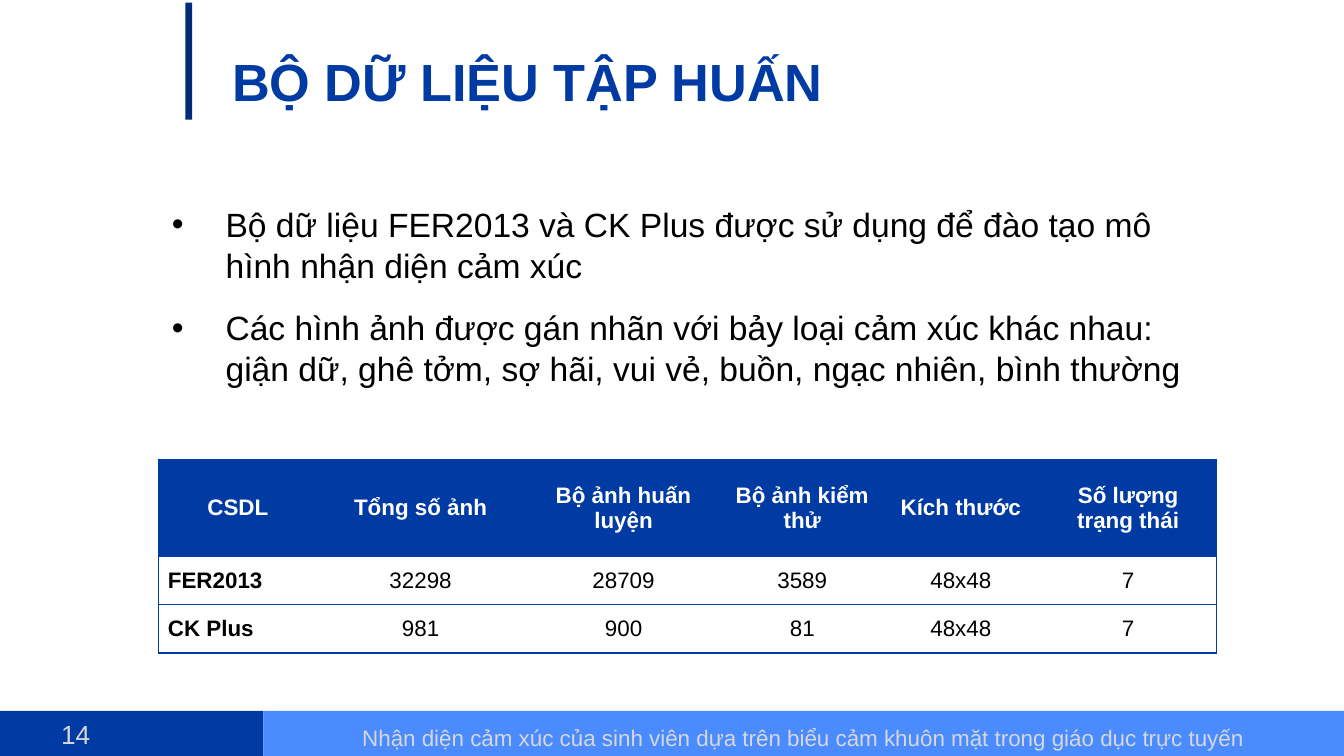
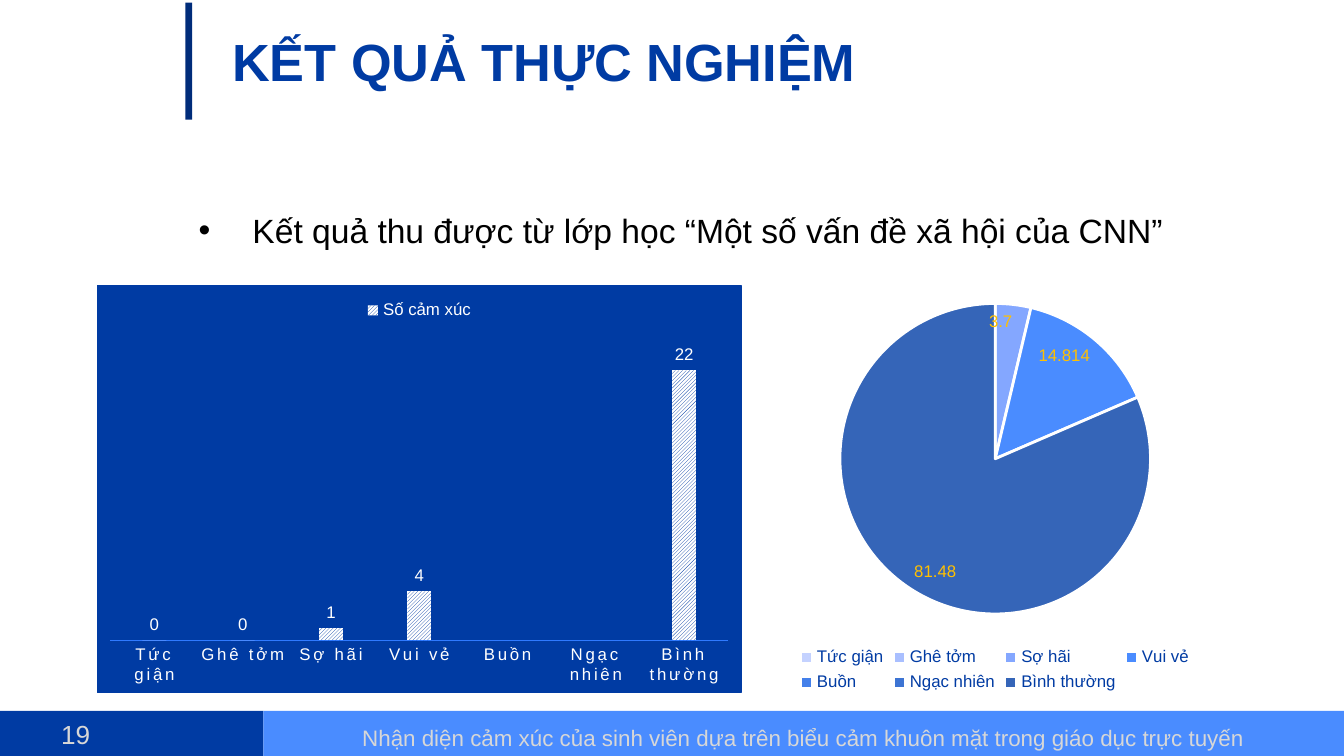
from lxml import etree
from pptx import Presentation
from pptx.chart.data import CategoryChartData
from pptx.dml.color import RGBColor
from pptx.enum.chart import XL_CHART_TYPE, XL_LABEL_POSITION, XL_LEGEND_POSITION, XL_TICK_MARK
from pptx.enum.dml import MSO_PATTERN
from pptx.enum.shapes import MSO_SHAPE
from pptx.enum.text import MSO_ANCHOR, PP_ALIGN
from pptx.oxml import parse_xml
from pptx.oxml.ns import nsdecls, qn
from pptx.util import Inches, Pt

LEFT, CENTER, RIGHT, JUSTIFY = PP_ALIGN.LEFT, PP_ALIGN.CENTER, PP_ALIGN.RIGHT, PP_ALIGN.JUSTIFY
COLUMN, PIE = XL_CHART_TYPE.COLUMN_CLUSTERED, XL_CHART_TYPE.PIE
TOP, BOTTOM = XL_LEGEND_POSITION.TOP, XL_LEGEND_POSITION.BOTTOM
OUTSIDE_END, INSIDE_END = XL_LABEL_POSITION.OUTSIDE_END, XL_LABEL_POSITION.INSIDE_END
NO_TICK = XL_TICK_MARK.NONE
HATCH = MSO_PATTERN.LIGHT_UPWARD_DIAGONAL
RECTANGLE = MSO_SHAPE.RECTANGLE
MIDDLE = MSO_ANCHOR.MIDDLE

SLIDE_WIDTH = Inches(10)
SLIDE_HEIGHT = SLIDE_WIDTH * 9 // 16
FONT = "Arial"
COLORS = {
    "primary": "003BA3", "band": "4A8CFF", "accent": "002C7A", "footer": "D7D7D7",
    "border": "003A9F", "axis": "2F7AFF", "gold": "FFC000", "black": "000000", "white": "FFFFFF",
}
EMOTION_COLORS = ["C4D2FF", "A9BFFF", "84A7FF", "4A8CFF", "4480EA", "3D74D3", "3565B8"]
EMOTIONS = ["Tức giận", "Ghê tởm", "Sợ hãi", "Vui vẻ", "Buồn", "Ngạc nhiên", "Bình thường"]
TOPIC = "Nhận diện cảm xúc của sinh viên dựa trên biểu cảm khuôn mặt trong giáo dục trực tuyến"
NO_TABLE_STYLE = "{2D5ABB26-0587-4C30-8999-92F81FD0307C}"


def rgb(name):
    return RGBColor.from_string(COLORS[name])


def style_font(font, size, color, bold=False):
    font.name = FONT
    font.size = Pt(size)
    font.bold = bold
    font.color.rgb = rgb(color)


def add_bullet(paragraph):
    properties = paragraph._p.get_or_add_pPr()
    properties.set("marL", str(Inches(0.4)))
    properties.set("indent", str(-Inches(0.4)))
    bullet_color = etree.SubElement(properties, qn("a:buClr"))
    etree.SubElement(bullet_color, qn("a:srgbClr"), val=COLORS["black"])
    etree.SubElement(properties, qn("a:buFont"), typeface=FONT)
    etree.SubElement(properties, qn("a:buChar"), char="•")


def add_cell_borders(cell, sides):
    """Draw the given sides, in the order L, R, T, B, and clear the others."""
    properties = cell._tc.get_or_add_tcPr()
    for side in "LRTB":
        line = etree.SubElement(properties, qn(f"a:ln{side}"), w=str(Pt(0.75)))
        if side in sides:
            fill = etree.SubElement(line, qn("a:solidFill"))
            etree.SubElement(fill, qn("a:srgbClr"), val=COLORS["border"])
        else:
            etree.SubElement(line, qn("a:noFill"))


def fill_chart_area(chart, color):
    fill = f'<a:solidFill><a:srgbClr val="{COLORS[color]}"/></a:solidFill>'
    area = parse_xml(f'<c:spPr {nsdecls("c", "a")}>{fill}<a:ln w="{Pt(0.75)}">{fill}</a:ln></c:spPr>')
    chart.element.find(qn("c:chart")).addnext(area)


class Deck:
    def __init__(self):
        self.presentation = Presentation()
        self.presentation.slide_width = SLIDE_WIDTH
        self.presentation.slide_height = SLIDE_HEIGHT
        self.slide = None

    def start_slide(self, number, title, title_top, title_height):
        self.slide = self.presentation.slides.add_slide(self.presentation.slide_layouts[6])
        self.band(0, 5.29, 1.96, 0.34, "primary")
        self.band(1.96, 5.29, 8.04, 0.34, "band")
        self.text(0, 5.3, 0.77, 0.34, [str(number)], 14, "footer", align=RIGHT)
        self.text(1.96, 5.3, 8.04, 0.32, [TOPIC], 12, "footer", align=CENTER, line_spacing=1.2)
        heading = self.text(1.63, title_top, 7.44, title_height, [title], 28, "primary", bold=True)
        heading.margin_top = heading.margin_bottom = Inches(0.1)
        self.band(1.38, 0.02, 0.05, 0.87, "accent")

    def band(self, left, top, width, height, color):
        band = self.slide.shapes.add_shape(
            RECTANGLE, Inches(left), Inches(top), Inches(width), Inches(height))
        band.shadow.inherit = False
        band.fill.solid()
        band.fill.fore_color.rgb = rgb(color)
        band.line.fill.background()

    def text(self, left, top, width, height, lines, size, color, bold=False,
             align=LEFT, line_spacing=None, bulleted=False):
        box = self.slide.shapes.add_textbox(
            Inches(left), Inches(top), Inches(width), Inches(height))
        frame = box.text_frame
        frame.word_wrap = True
        for index, line in enumerate(lines):
            paragraph = frame.add_paragraph() if index else frame.paragraphs[0]
            paragraph.text = line
            paragraph.alignment = align
            if line_spacing:
                paragraph.line_spacing = line_spacing
            if bulleted:
                add_bullet(paragraph)
            if index:
                paragraph.space_before = Pt(12)
            style_font(paragraph.font, size, color, bold)
        return frame

    def bullets(self, left, top, width, height, lines):
        self.text(left, top, width, height, lines, 18, "black", bulleted=True)

    def table(self, left, top, widths, heights, rows):
        table = self.slide.shapes.add_table(
            len(rows), len(widths), Inches(left), Inches(top),
            Inches(sum(widths)), Inches(sum(heights))).table
        table.first_row = True
        table.horz_banding = False
        table._tbl.tblPr.find(qn("a:tableStyleId")).text = NO_TABLE_STYLE
        for column, width in zip(table.columns, widths):
            column.width = Inches(width)
        for row, height in zip(table.rows, heights):
            row.height = Inches(height)
        for row_index, values in enumerate(rows):
            for column_index, value in enumerate(values):
                self.fill_cell(table.cell(row_index, column_index), value,
                               is_header=row_index == 0, is_first=column_index == 0,
                               is_last=column_index == len(widths) - 1)

    def fill_cell(self, cell, value, is_header, is_first, is_last):
        add_cell_borders(cell, "TB" + "L" * is_first + "R" * is_last)
        if is_header:
            cell.fill.solid()
            cell.fill.fore_color.rgb = rgb("primary")
        else:
            cell.fill.background()
        cell.vertical_anchor = MIDDLE
        cell.margin_left = cell.margin_right = Inches(0.07)
        cell.margin_top = cell.margin_bottom = 0
        cell.text = value
        paragraph = cell.text_frame.paragraphs[0]
        paragraph.alignment = JUSTIFY if is_first and not is_header else CENTER
        paragraph.space_after = Pt(2)
        style_font(paragraph.font, 12, "white" if is_header else "black", is_header or is_first)

    def chart(self, kind, left, top, width, height, name, values, legend_position,
              legend_color, label_position, label_color, label_format):
        data = CategoryChartData()
        data.categories = EMOTIONS
        data.add_series(name, values)
        chart = self.slide.shapes.add_chart(
            kind, Inches(left), Inches(top), Inches(width), Inches(height), data).chart
        chart.has_title = False
        style_font(chart.font, 9, label_color)
        chart.has_legend = True
        chart.legend.position = legend_position
        chart.legend.include_in_layout = False
        style_font(chart.legend.font, 9, legend_color)
        plot = chart.plots[0]
        plot.has_data_labels = True
        labels = plot.data_labels
        labels.show_value = True
        labels.position = label_position
        labels.number_format = label_format
        labels.number_format_is_linked = False
        style_font(labels.font, 9, label_color)
        return chart

    def column_chart(self, left, top, width, height, name, values):
        chart = self.chart(COLUMN, left, top, width, height, name, values,
                           TOP, "white", OUTSIDE_END, "white", "General")
        fill_chart_area(chart, "primary")
        plot = chart.plots[0]
        plot.vary_by_categories = False
        plot.gap_width = 269
        plot.overlap = -20
        bars = plot.series[0].format.fill
        bars.patterned()
        bars.pattern = HATCH
        bars.fore_color.rgb = rgb("primary")
        bars.back_color.rgb = rgb("white")
        chart.value_axis.visible = False
        chart.value_axis.has_major_gridlines = False
        chart.value_axis.minimum_scale = 0
        chart.value_axis.maximum_scale = 25
        axis = chart.category_axis
        axis.major_tick_mark = NO_TICK
        axis.format.line.color.rgb = rgb("axis")
        axis.format.line.width = Pt(0.25)
        style_font(axis.tick_labels.font, 9, "white")
        chart.element.xpath(".//c:catAx//a:defRPr")[0].set("spc", "150")

    def pie_chart(self, left, top, width, height, name, values):
        chart = self.chart(PIE, left, top, width, height, name, values,
                           BOTTOM, "primary", INSIDE_END, "gold", "0.0##;;")
        plot = chart.plots[0]
        plot.vary_by_categories = True
        for index, color in enumerate(EMOTION_COLORS):
            slice_format = plot.series[0].points[index].format
            slice_format.fill.solid()
            slice_format.fill.fore_color.rgb = RGBColor.from_string(color)
            slice_format.line.color.rgb = rgb("white")
            slice_format.line.width = Pt(1.5)


def main():
    deck = Deck()

    deck.start_slide(14, "BỘ DỮ LIỆU TẬP HUẤN", 0.27, 0.63)
    deck.bullets(1.18, 1.47, 7.88, 1.48, [
        "Bộ dữ liệu FER2013 và CK Plus được sử dụng để đào tạo mô hình nhận diện cảm xúc",
        "Các hình ảnh được gán nhãn với bảy loại cảm xúc khác nhau: giận dữ, ghê tởm, "
        "sợ hãi, vui vẻ, buồn, ngạc nhiên, bình thường",
    ])
    deck.table(1.18, 3.42, [1.18, 1.54, 1.48, 1.18, 1.18, 1.31], [0.72, 0.36, 0.36], [
        ["CSDL", "Tổng số ảnh", "Bộ ảnh huấn luyện", "Bộ ảnh kiểm thử", "Kích thước",
         "Số lượng trạng thái"],
        ["FER2013", "32298", "28709", "3589", "48x48", "7"],
        ["CK Plus", "981", "900", "81", "48x48", "7"],
    ])

    deck.start_slide(19, "KẾT QUẢ THỰC NGHIỆM", 0.12, 0.7)
    deck.bullets(1.38, 1.51, 7.68, 0.4,
                 ["Kết quả thu được từ lớp học “Một số vấn đề xã hội của CNN”"])
    deck.column_chart(0.72, 2.12, 4.8, 3.04, "Số cảm xúc", [0, 0, 1, 4, None, None, 22])
    deck.pie_chart(5.52, 2.12, 3.77, 3.07, "Series 1", [0, 0, 3.7, 14.814, 0, 0, 81.48])

    deck.presentation.save("out.pptx")


if __name__ == "__main__":
    main()
